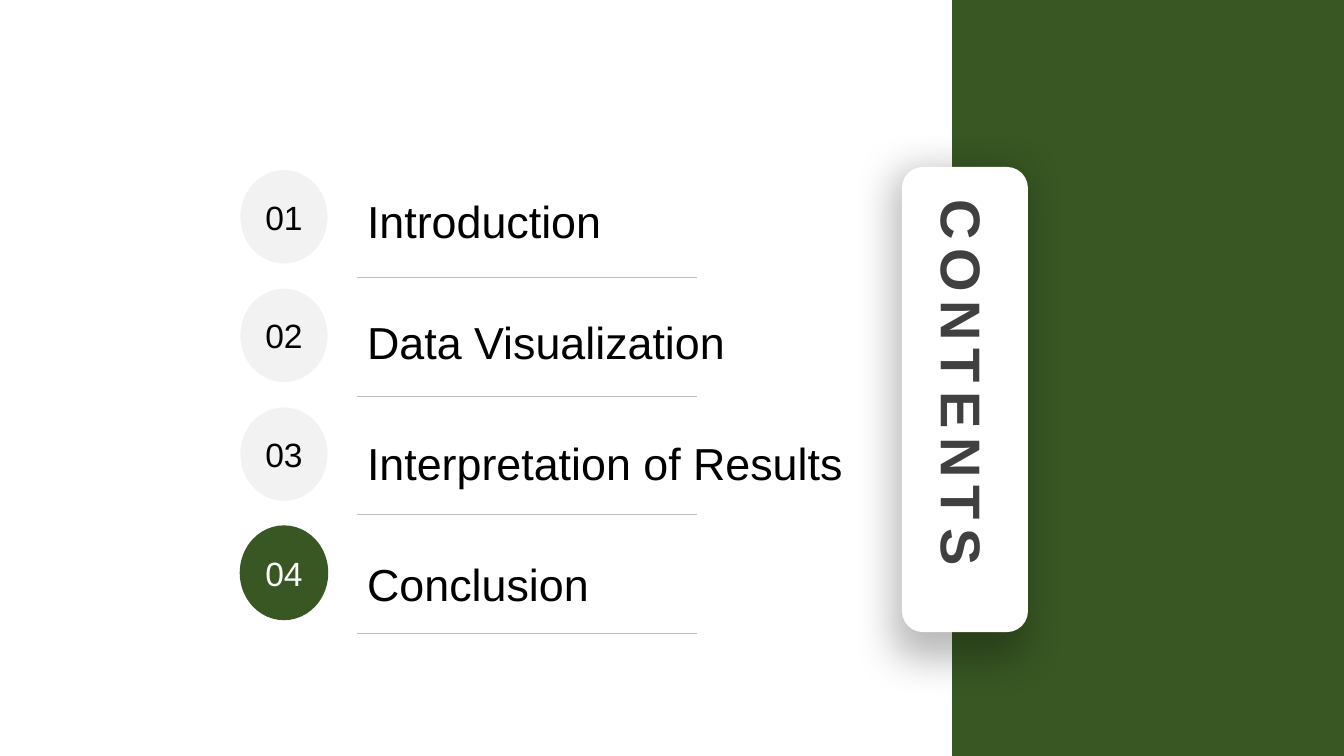
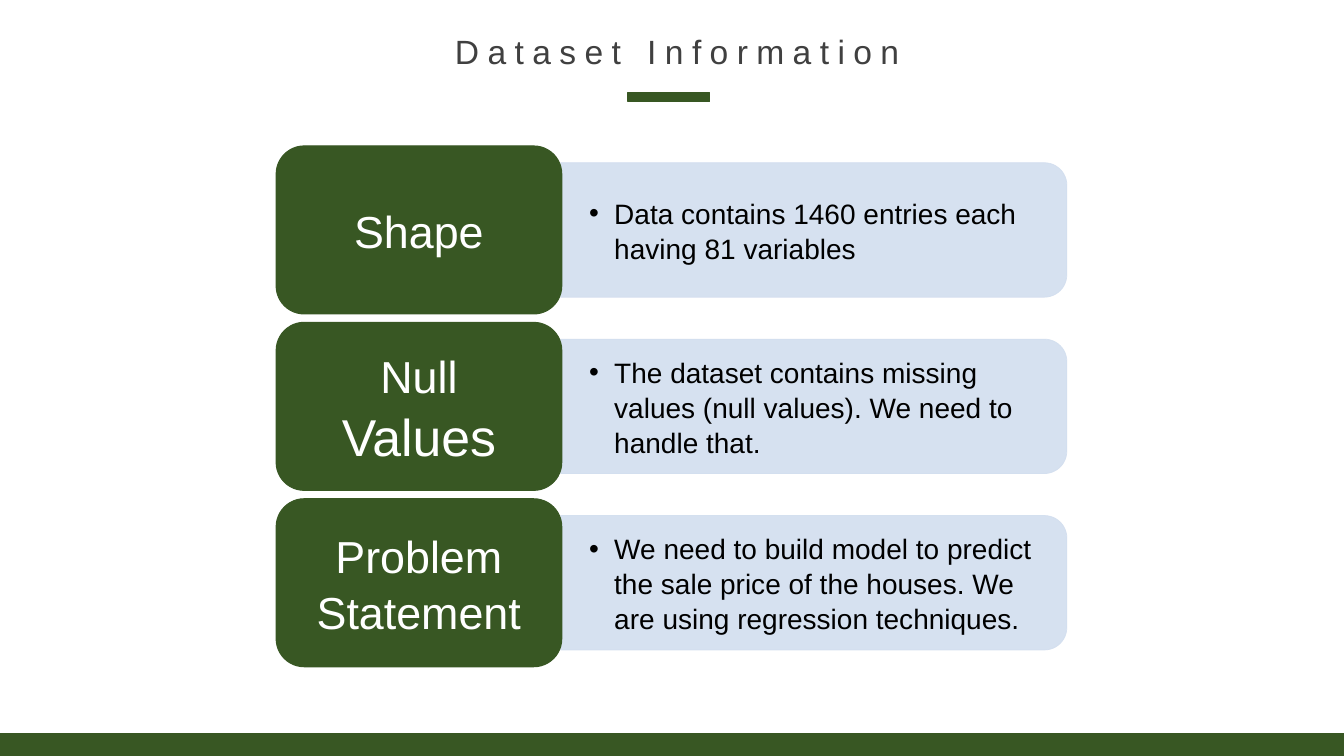
"""Build a contents slide and a dataset information slide."""
from lxml.etree import SubElement
from pptx import Presentation
from pptx.dml.color import RGBColor
from pptx.enum.shapes import MSO_CONNECTOR, MSO_SHAPE
from pptx.enum.text import MSO_ANCHOR, MSO_AUTO_SIZE, PP_ALIGN
from pptx.oxml import parse_xml
from pptx.oxml.ns import nsdecls, qn
from pptx.util import Pt

PX = 9525
GREEN = RGBColor(0x38, 0x57, 0x23)
WHITE = RGBColor(0xFF, 0xFF, 0xFF)
BLACK = RGBColor(0, 0, 0)
DARK = RGBColor(0x40, 0x40, 0x40)
PALE = RGBColor(0xF2, 0xF2, 0xF2)
GREY = RGBColor(0xBF, 0xBF, 0xBF)
BLUE = RGBColor(0xD2, 0xDE, 0xEF)


def box(slide, kind, rect, fill, line=None):
    shape = slide.shapes.add_shape(kind, *(n * PX for n in rect))
    shape.shadow.inherit = False
    shape.fill.solid()
    shape.fill.fore_color.rgb = fill
    if line:
        shape.line.color.rgb = fill
        shape.line.width = Pt(line)
    else:
        shape.line.fill.background()
    return shape


def write(par, text, size, color, bold=False, gap=0):
    run = par.add_run()
    run.text = text
    font = run.font
    font.name, font.size, font.bold = "Arial", Pt(size), bold
    font.color.rgb = color
    if gap:
        run._r.get_or_add_rPr().set("spc", str(gap * 100))


deck = Presentation()
deck.slide_width, deck.slide_height = 1280 * PX, 720 * PX
menu = deck.slides.add_slide(deck.slide_layouts[1])
info = deck.slides.add_slide(deck.slide_layouts[4])
for slide in (menu, info):
    slide.background.fill.solid()
    slide.background.fill.fore_color.rgb = WHITE

box(menu, MSO_SHAPE.RECTANGLE, (907, 0, 373, 720), GREEN, 1)
card = box(menu, MSO_SHAPE.ROUNDED_RECTANGLE, (859, 159, 120, 443), WHITE)
card._element.spPr.find(qn("a:effectLst")).append(parse_xml(
    f'<a:outerShdw {nsdecls("a")} blurRad="368300" dist="38100" dir="8100000" '
    'sx="105000" sy="105000" algn="tr" rotWithShape="0">'
    '<a:srgbClr val="000000"><a:alpha val="27000"/></a:srgbClr></a:outerShdw>'))

topics = ["Introduction", "Data Visualization", "Interpretation of Results", "Conclusion"]
STEP = 113
for i in range(len(topics)):
    last = i == len(topics) - 1
    disc = box(menu, MSO_SHAPE.OVAL, (229, 162 + i * STEP, 83, 89),
               GREEN if last else PALE, 1 if last else None)
    frame = disc.text_frame
    frame.margin_left = frame.margin_right = 0
    frame.vertical_anchor = MSO_ANCHOR.MIDDLE
    frame.paragraphs[0].alignment = PP_ALIGN.CENTER
    write(frame.paragraphs[0], f"{i + 1:02}", 24, WHITE if last else BLACK)
    y = (264 + i * STEP) * PX
    rule = menu.shapes.add_connector(MSO_CONNECTOR.STRAIGHT, 340 * PX, y, 664 * PX, y)
    rule.line.color.rgb = GREY
    rule.line.width = Pt(0.25)
    SubElement(rule._element.spPr, qn("a:effectLst"))

box(info, MSO_SHAPE.RECTANGLE, (598, 88, 78, 9), GREEN, 1)
box(info, MSO_SHAPE.RECTANGLE, (0, 699, 1280, 21), GREEN, 1)
facts = [
    ([("Shape", 32)], "Data contains 1460 entries each having 81 variables"),
    ([("Null ", 32), ("Values", 37)],
     "The dataset contains missing values (null values). We need to handle that."),
    ([("Problem Statement", 32)],
     "We need to build model to predict the sale price of the houses. "
     "We are using regression techniques."),
]
ROW = 168
for i, (label, fact) in enumerate(facts):
    mid = 219 + i * ROW
    panel = box(info, MSO_SHAPE.ROUND_2_SAME_RECTANGLE, (711, mid - 241, 128, 482), BLUE, 0.5)
    panel.rotation = 90
    for tint in panel._element.spPr.iter(qn("a:srgbClr")):
        SubElement(tint, qn("a:alpha")).set("val", "90000")
    tile = box(info, MSO_SHAPE.ROUNDED_RECTANGLE, (263, mid - 80, 272, 160), GREEN, 0.75)
    frame = tile.text_frame
    frame.margin_left = frame.margin_right = 24 * PX
    frame.vertical_anchor = MSO_ANCHOR.MIDDLE
    par = frame.paragraphs[0]
    par.alignment = PP_ALIGN.CENTER
    par.line_spacing = 1.04
    for text, size in label:
        write(par, text, size, WHITE)

spots = [
    (menu.shapes.title, (875, 185, 84, 403)),
    (menu.placeholders[1], (340, 180, 492, 450)),
    (info.shapes.title, (420, 25, 450, 48)),
]
holds = [hold for hold in info.placeholders if hold.placeholder_format.idx]
for i, hold in enumerate(holds[:3]):
    spots.append((hold, (535, 161 + i * ROW, 476, 116)))
holds[3].element.getparent().remove(holds[3].element)
for hold, rect in spots:
    hold.left, hold.top, hold.width, hold.height = (n * PX for n in rect)
    hold.text_frame.auto_size = MSO_AUTO_SIZE.NONE
    hold.text_frame.vertical_anchor = MSO_ANCHOR.TOP
    tree = hold.element.getparent()
    tree.append(hold.element)

for slide, text, size, bold in ((menu, "CONTENTS", 40, True), (info, "Dataset Information", 24, False)):
    par = slide.shapes.title.text_frame.paragraphs[0]
    par.alignment = PP_ALIGN.CENTER
    write(par, text, size, DARK, bold, 6)
menu.shapes.title.text_frame._txBody.bodyPr.set("vert", "eaVert")
info.shapes.title.text_frame.word_wrap = False

frame = menu.placeholders[1].text_frame
for i, topic in enumerate(topics):
    par = frame.add_paragraph() if i else frame.paragraphs[0]
    par.space_before, par.space_after = Pt(0), Pt(48)
    form = par._p.get_or_add_pPr()
    form.set("marL", "0")
    form.set("indent", "0")
    SubElement(form, qn("a:buNone"))
    write(par, topic, 32, BLACK)

for hold, (label, fact) in zip(holds, facts):
    frame = hold.text_frame
    frame.vertical_anchor = MSO_ANCHOR.MIDDLE
    frame.margin_left = frame.margin_right = 26 * PX
    par = frame.paragraphs[0]
    par.space_before = Pt(0)
    par.line_spacing = 1.04
    form = par._p.get_or_add_pPr()
    form.set("marL", str(24 * PX))
    form.set("indent", str(-24 * PX))
    SubElement(form, qn("a:buFont")).set("typeface", "Arial")
    SubElement(form, qn("a:buChar")).set("char", "•")
    write(par, fact, 20, BLACK)

deck.save("out.pptx")
